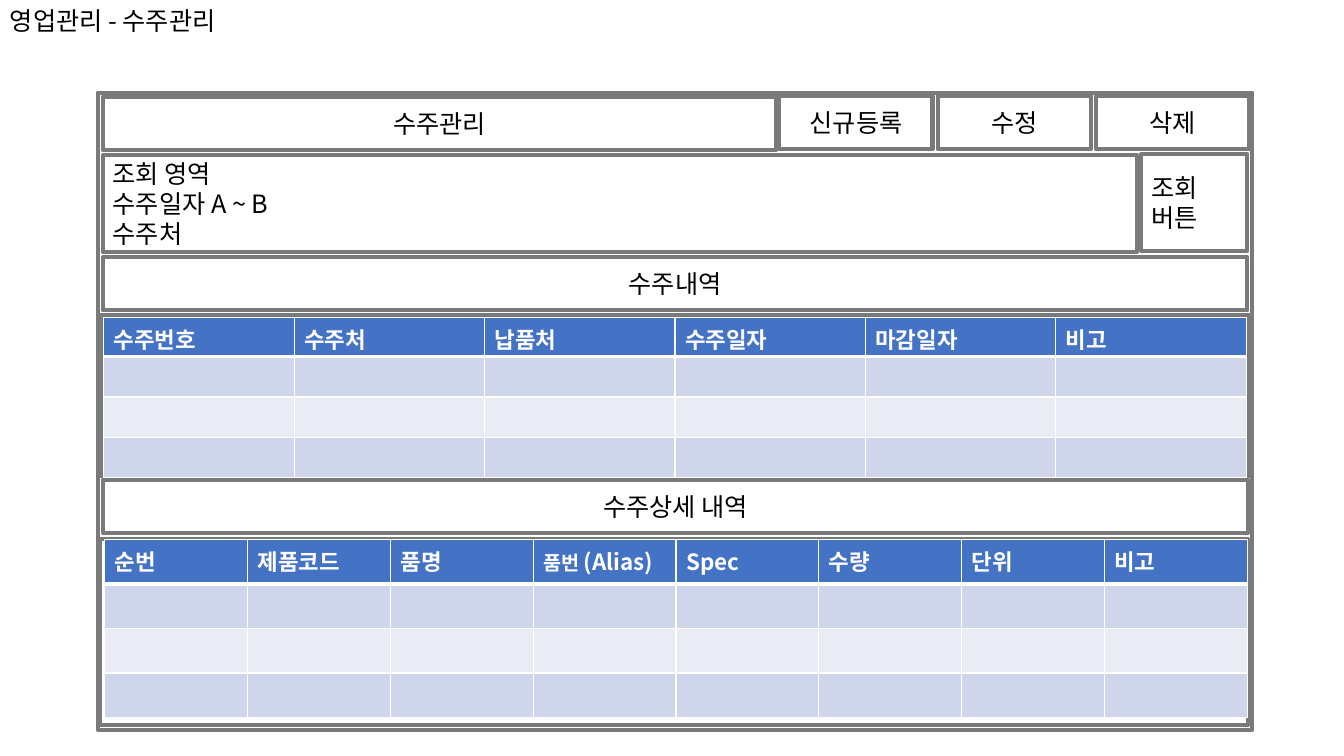
import pptx
import pptx.util
import pptx.dml.color
import pptx.enum.shapes
import pptx.enum.text
import pptx.oxml
import pptx.oxml.ns
from pptx.util import Inches

FONT = "Noto Sans CJK KR"
GREY, BLACK, WHITE = "7A7A7A", "000000", "FFFFFF"
HEADER, BANDS = "4472C4", ("CFD5EA", "E9EBF5")
CENTER = pptx.enum.text.PP_ALIGN.CENTER
LEFT = pptx.enum.text.PP_ALIGN.LEFT


def color(value):
    return pptx.dml.color.RGBColor.from_string(value)


def format_span(span, size, ink, bold=False):
    span.font.name = FONT
    span.font.size = pptx.util.Pt(size)
    span.font.bold = bold
    span.font.color.rgb = color(ink)
    east_asian = pptx.oxml.ns.qn("a:ea")
    span.font._element.find(pptx.oxml.ns.qn("a:latin")).addnext(
        span.font._element.makeelement(east_asian, {"typeface": FONT}))


def format_text(frame, size, ink, align=LEFT, bold=False):
    for para in frame.paragraphs:
        para.alignment = align
        for span in para.runs:
            format_span(span, size, ink, bold)


def add_title(page, text):
    box = page.shapes.add_textbox(0, 0, Inches(2.5), Inches(0.4))
    box.text_frame.text = text
    box.text_frame.word_wrap = False
    box.text_frame.auto_size = pptx.enum.text.MSO_AUTO_SIZE.SHAPE_TO_FIT_TEXT
    format_text(box.text_frame, 18, BLACK)


def add_frame(page, left, top, width, height, text="", align=CENTER):
    box = page.shapes.add_shape(
        pptx.enum.shapes.MSO_SHAPE.RECTANGLE,
        Inches(left), Inches(top), Inches(width), Inches(height))
    box.shadow.inherit = False
    box.fill.background()
    box.line.color.rgb = color(GREY)
    box.line.width = pptx.util.Pt(3)
    box.text_frame.text = text
    box.text_frame.word_wrap = True
    box.text_frame.vertical_anchor = pptx.enum.text.MSO_ANCHOR.MIDDLE
    format_text(box.text_frame, 18, BLACK, align)


def set_borders(cell, bottom):
    properties = cell._tc.get_or_add_tcPr()
    widths = {"lnL": 1, "lnR": 1, "lnT": 1, "lnB": bottom}
    for position, (side, width) in enumerate(widths.items()):
        properties.insert(position, pptx.oxml.parse_xml(
            f'<a:{side} {pptx.oxml.ns.nsdecls("a")} w="{pptx.util.Pt(width)}">'
            f'<a:solidFill><a:srgbClr val="{WHITE}"/></a:solidFill></a:{side}>'))


def add_grid(page, left, top, width, height, headings, rows=4):
    table = page.shapes.add_table(
        rows, len(headings), Inches(left), Inches(top),
        Inches(width), Inches(height)).table
    for column, heading in enumerate(headings):
        table.cell(0, column).text = heading
        for row in range(rows):
            cell = table.cell(row, column)
            cell.fill.solid()
            cell.fill.fore_color.rgb = color(BANDS[(row - 1) % 2] if row else HEADER)
            set_borders(cell, 1 if row else 3)
            format_text(cell.text_frame, 16, WHITE, bold=True)
    return table


def main():
    deck = pptx.Presentation()
    deck.slide_width, deck.slide_height = Inches(13.33), Inches(7.5)
    page = deck.slides.add_slide(deck.slide_layouts[6])

    add_title(page, "영업관리 - 수주관리")
    add_frame(page, 0.97, 0.92, 11.45, 6.32)
    add_frame(page, 1.02, 0.96, 6.68, 0.53, "수주관리")
    add_frame(page, 1, 3.13, 11.39, 1.59)
    add_frame(page, 1.02, 1.54, 10.26, 0.96,
              "조회 영역\n수주일자 A ~ B\n수주처", LEFT)
    add_frame(page, 1.02, 2.55, 11.35, 0.53, "수주내역")
    add_frame(page, 0.99, 5.35, 11.39, 1.84)
    add_frame(page, 1.02, 4.76, 11.36, 0.53, "수주상세 내역")

    add_grid(page, 1.03, 3.15, 11.33, 1.55,
             ["수주번호", "수주처", "납품처", "수주일자", "마감일자", "비고"])
    details = add_grid(page, 1.04, 5.35, 11.33, 1.77,
                       ["순번", "제품코드", "품명", "품번 ", "Spec", "수량", "단위", "비고"])
    para = details.cell(0, 3).text_frame.paragraphs[0]
    para.runs[0].font.size = pptx.util.Pt(14)
    alias = para.add_run()
    alias.text = "(Alias)"
    format_span(alias, 16, WHITE, bold=True)

    add_frame(page, 11.32, 1.53, 1.05, 0.96, "조회\n버튼", LEFT)
    for index, label in enumerate(["신규등록", "수정", "삭제"]):
        add_frame(page, 7.73 + 1.57 * index, 0.95, 1.52, 0.53, label)
    deck.save("out.pptx")


if __name__ == "__main__":
    main()
